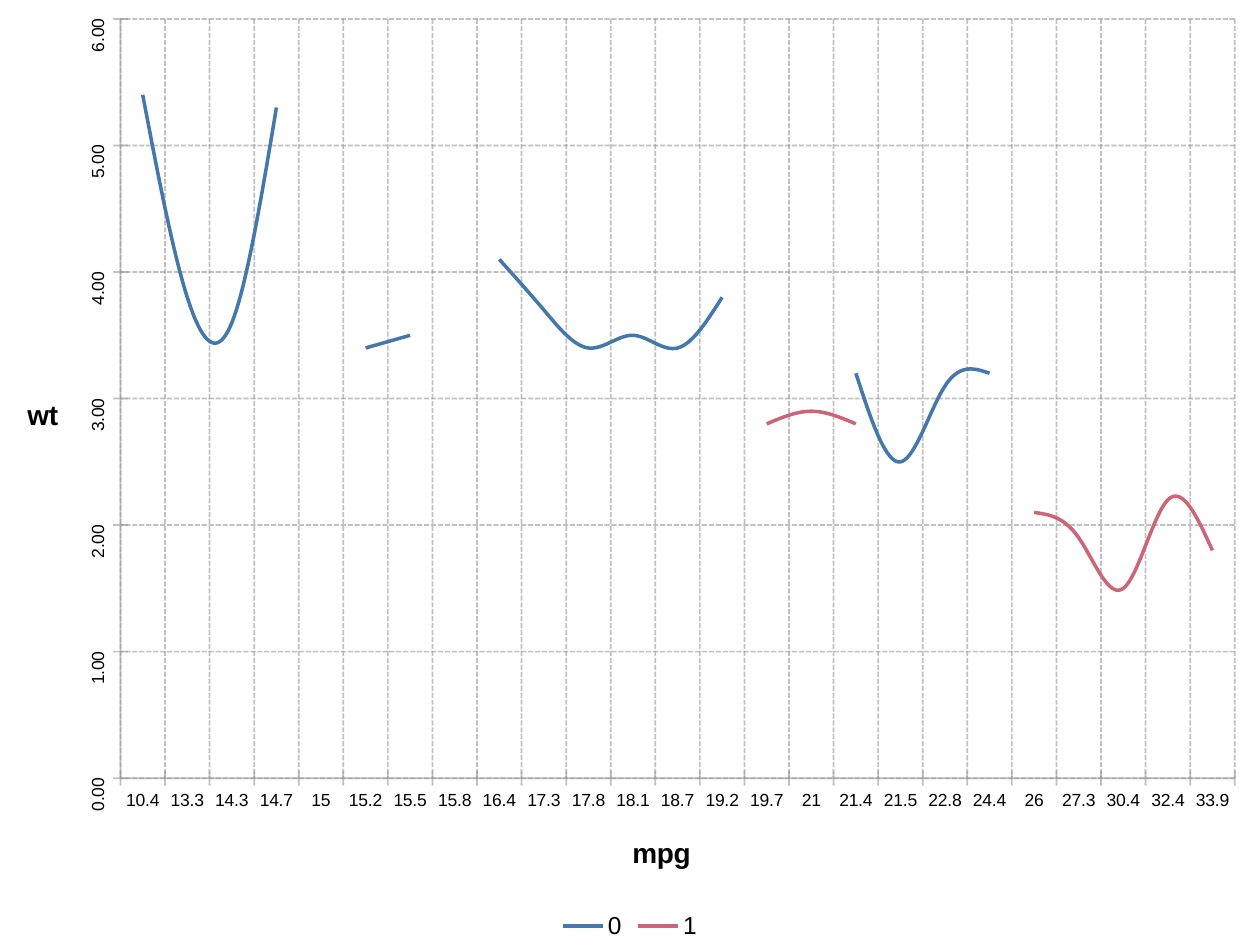
"""Build a slide with a smoothed line chart of wt by mpg in two groups."""
from lxml.etree import SubElement
from pptx import Presentation
from pptx.chart.data import CategoryChartData
from pptx.dml.color import RGBColor
from pptx.enum.chart import XL_CHART_TYPE as CT, XL_LEGEND_POSITION as LP
from pptx.enum.chart import XL_MARKER_STYLE as MS, XL_TICK_MARK as TM
from pptx.enum.dml import MSO_LINE
from pptx.oxml.ns import qn
from pptx.util import Inches, Pt

COLORS = {"text": "000000", "grid": "999999", "0": "4477AA", "1": "CC6677"}
CATS = ["10.4", "13.3", "14.3", "14.7", "15", "15.2", "15.5", "15.8", "16.4",
        "17.3", "17.8", "18.1", "18.7", "19.2", "19.7", "21", "21.4", "21.5",
        "22.8", "24.4", "26", "27.3", "30.4", "32.4", "33.9"]
GROUPS = {
    "0": {"10.4": 5.4, "13.3": 3.8, "14.3": 3.6, "14.7": 5.3, "15.2": 3.4,
          "15.5": 3.5, "16.4": 4.1, "17.3": 3.7, "17.8": 3.4, "18.1": 3.5,
          "18.7": 3.4, "19.2": 3.8, "21.4": 3.2, "21.5": 2.5, "22.8": 3.1,
          "24.4": 3.2},
    "1": {"15": 3.6, "15.8": 3.2, "19.7": 2.8, "21": 2.9, "21.4": 2.8,
          "22.8": 2.3, "26": 2.1, "27.3": 1.9, "30.4": 1.5, "32.4": 2.2,
          "33.9": 1.8},
}
GRID_ALPHA = 60


def rgb(name):
    return RGBColor.from_string(COLORS[name])


def style_font(font, size, bold=False, name="Arial"):
    font.size, font.bold, font.name = Pt(size), bold, name
    font.color.rgb = rgb("text")


def add_title(axis, text, size=16, bold=True, rotation=0):
    tf = axis.axis_title.text_frame
    tf.text = text
    style_font(tf.paragraphs[0].runs[0].font, size, bold)
    body = axis.axis_title._element.find(".//" + qn("a:bodyPr"))
    body.set("rot", str(rotation * 60000))
    body.set("vert", "horz")


def style_line(line, color, width, dash=None):
    line.color.rgb = rgb(color)
    line.width = Pt(width)
    line.dash_style = dash


def style_axis(axis, title, number_format, rotation):
    add_title(axis, title)
    axis.has_major_gridlines = True
    axis.major_tick_mark = TM.CROSS
    axis.minor_tick_mark = TM.NONE
    style_line(axis.format.line, "grid", 1, MSO_LINE.SOLID)
    style_line(axis.major_gridlines.format.line, "grid", 1, MSO_LINE.SQUARE_DOT)
    for ln in axis._element.iter(qn("a:ln")):
        for clr in ln.iter(qn("a:srgbClr")):
            SubElement(clr, qn("a:alpha"), val=str(GRID_ALPHA * 1000))
    labels = axis.tick_labels
    labels.number_format = number_format
    labels.number_format_is_linked = False
    style_font(labels.font, 10)
    body = axis._element.find(qn("c:txPr")).find(qn("a:bodyPr"))
    body.set("rot", str(rotation * 60000))
    body.set("vert", "horz")


def main():
    prs = Presentation()
    prs.slide_width, prs.slide_height = Inches(10), Inches(7.5)
    s = prs.slides.add_slide(prs.slide_layouts[6])

    data = CategoryChartData()
    data.categories = CATS
    for name, points in GROUPS.items():
        data.add_series(name, [points.get(cat) for cat in CATS])
    chart = s.shapes.add_chart(CT.LINE, 0, 0, prs.slide_width,
                               prs.slide_height, data).chart
    style_font(chart.font, 18, name="Calibri")
    chart.has_title = False

    style_axis(chart.category_axis, "mpg", "General", 0)
    style_axis(chart.value_axis, "wt", "0.00", -90)
    val = chart.value_axis
    val.minimum_scale, val.maximum_scale, val.major_unit = 0, 6, 1

    plot = chart.plots[0]
    plot.vary_by_categories = False
    for ser in plot.series:
        ser.smooth = True
        ser.marker.style = MS.NONE
        style_line(ser.format.line, ser.name, 2)

    chart.has_legend = True
    chart.legend.position = LP.BOTTOM
    chart.legend.include_in_layout = False
    style_font(chart.legend.font, 14)

    prs.save("out.pptx")


if __name__ == "__main__":
    main()
